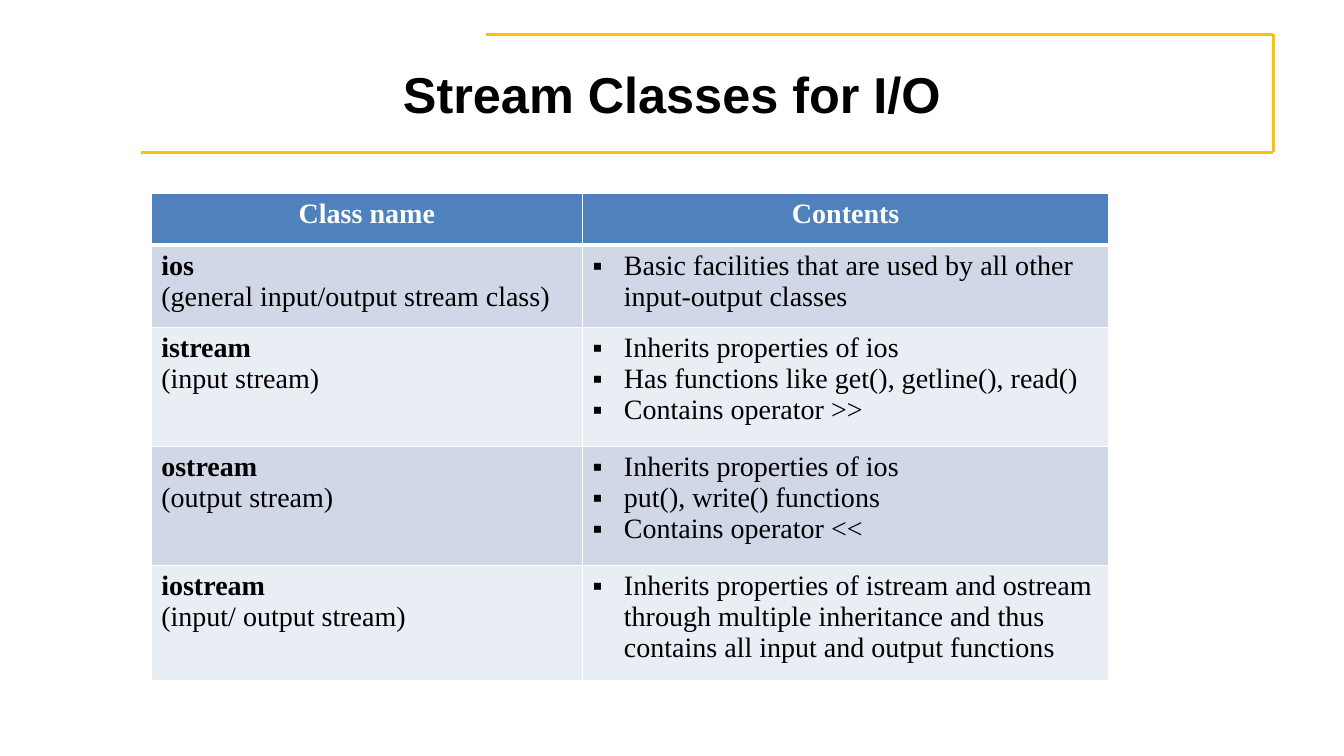
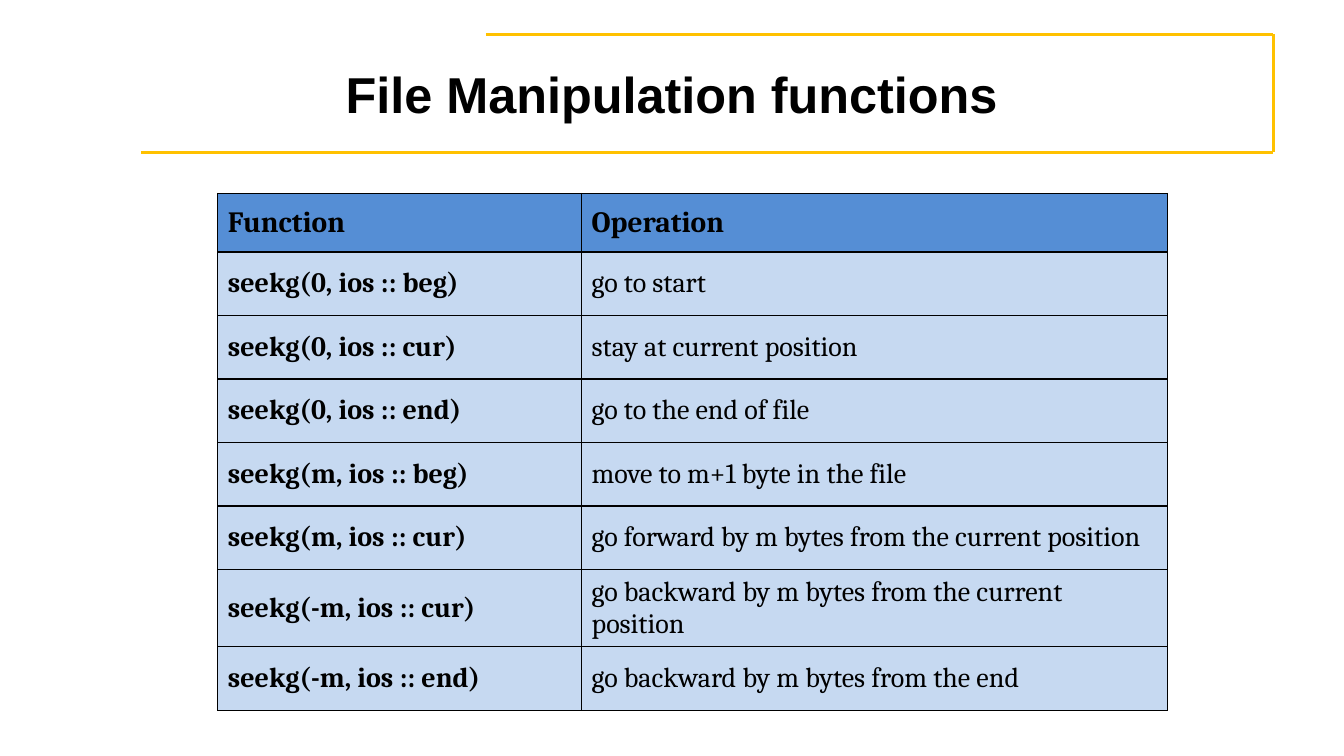
from dataclasses import dataclass

from lxml import etree
from pptx import Presentation
from pptx.dml.color import RGBColor
from pptx.enum.shapes import MSO_CONNECTOR
from pptx.enum.text import MSO_ANCHOR, PP_ALIGN
from pptx.oxml.ns import qn
from pptx.util import Inches, Pt

STRAIGHT = MSO_CONNECTOR.STRAIGHT
TOP, MIDDLE = MSO_ANCHOR.TOP, MSO_ANCHOR.MIDDLE
LEFT, CENTER = PP_ALIGN.LEFT, PP_ALIGN.CENTER

WIDTH, HEIGHT = Inches(13.33), Inches(7.5)
COLUMNS, ROWS = 40, 30
BLANK_LAYOUT = 6
TABLE_TOP = 7.68

COLORS = {
    "black": "000000",
    "white": "FFFFFF",
    "frame": "FFC100",
    "class header": "4F81BD",
    "class dark": "D0D8E8",
    "class light": "E9EDF4",
    "function header": "558ED5",
    "function row": "C6D9F1",
}


@dataclass
class TableStyle:
    """Look of one table: font, colours, borders and alignment."""
    font: str
    header_size: int
    header_color: str
    header_fill: str
    header_align: PP_ALIGN
    header_rule: int
    row_fills: tuple
    border: str
    anchor: MSO_ANCHOR
    bullets: bool


CLASS_STYLE = TableStyle("Times New Roman", 20, "white", "class header", CENTER, 3,
                         ("class dark", "class light"), "white", TOP, True)
FUNCTION_STYLE = TableStyle("Cambria", 21, "black", "function header", LEFT, 1,
                            ("function row",), "black", MIDDLE, False)

CLASS_ROWS = [
    ("Class name", "Contents"),
    ("ios\n(general input/output stream class)",
     "Basic facilities that are used by all other input-output classes"),
    ("istream\n(input stream)",
     "Inherits properties of ios\nHas functions like get(), getline(), read()\n"
     "Contains operator >>"),
    ("ostream\n(output stream)",
     "Inherits properties of ios\nput(), write() functions\nContains operator <<"),
    ("iostream\n(input/ output stream)",
     "Inherits properties of istream and ostream through multiple inheritance "
     "and thus contains all input and output functions"),
]

FUNCTION_ROWS = [
    ("Function", "Operation"),
    ("seekg(0, ios :: beg)", "go to start"),
    ("seekg(0, ios :: cur)", "stay at current position"),
    ("seekg(0, ios :: end)", "go to the end of file"),
    ("seekg(m, ios :: beg)", "move to m+1 byte in the file"),
    ("seekg(m, ios :: cur)", "go forward by m bytes from the current position"),
    ("seekg(-m, ios :: cur)", "go backward by m bytes from the current position"),
    ("seekg(-m, ios :: end)", "go backward by m bytes from the end"),
]


def color(name):
    """Return the named colour."""
    return RGBColor.from_string(COLORS[name])


def across(columns):
    """Turn grid columns into a length."""
    return round(WIDTH * columns / COLUMNS)


def down(rows):
    """Turn grid rows into a length."""
    return round(HEIGHT * rows / ROWS)


class Deck:
    """Holds the presentation, its shared style and the current slide."""

    def __init__(self):
        """Start an empty presentation."""
        self.presentation = Presentation()
        self.presentation.slide_width = WIDTH
        self.presentation.slide_height = HEIGHT
        self.slide = None

    def add_slide(self, title):
        """Start a slide with the shared frame and title."""
        layout = self.presentation.slide_layouts[BLANK_LAYOUT]
        self.slide = self.presentation.slides.add_slide(layout)
        corners = [(14.46, 1.36), (37.89, 1.36), (37.89, 6.04), (4.2, 6.04)]
        for start, end in zip(corners, corners[1:]):
            self.add_line(start, end)
        self.add_title(title)

    def add_line(self, start, end):
        """Draw one frame line between two grid points."""
        line = self.slide.shapes.add_connector(
            STRAIGHT, across(start[0]), down(start[1]), across(end[0]), down(end[1]))
        line.line.color.rgb = color("frame")
        line.line.width = Pt(2)
        etree.SubElement(line._element.spPr, qn("a:effectLst"))

    def add_title(self, text):
        """Write the slide title centred in the frame."""
        box = self.slide.shapes.add_textbox(across(2), down(1.2), across(36), down(5))
        frame = box.text_frame
        frame.word_wrap = True
        frame.vertical_anchor = MIDDLE
        frame.text = text
        paragraph = frame.paragraphs[0]
        paragraph.alignment = CENTER
        self.format_runs(paragraph, "Arial", 36, "black", True)

    def format_runs(self, paragraph, font, size, color_name, bold):
        """Set the font of every run in a paragraph."""
        for run in paragraph.runs:
            run.font.name = font
            run.font.size = Pt(size)
            run.font.color.rgb = color(color_name)
            run.font.bold = bold

    def add_bullet(self, paragraph):
        """Give a paragraph a square bullet with a hanging indent."""
        properties = paragraph._p.get_or_add_pPr()
        indent = Inches(0.31)
        properties.set("marL", str(indent))
        properties.set("indent", str(-indent))
        etree.SubElement(properties, qn("a:buFont"), typeface="Arial")
        etree.SubElement(properties, qn("a:buChar"), char="▪")

    def add_borders(self, cell, border, top, bottom):
        """Draw the four borders of a cell."""
        properties = cell._tc.get_or_add_tcPr()
        for side, width in (("L", 1), ("R", 1), ("T", top), ("B", bottom)):
            line = etree.SubElement(properties, qn(f"a:ln{side}"), w=str(Pt(width)))
            fill = etree.SubElement(line, qn("a:solidFill"))
            etree.SubElement(fill, qn("a:srgbClr"), val=COLORS[border])

    def add_table(self, left, widths, heights, rows, style):
        """Place a table whose first row is the header."""
        shape = self.slide.shapes.add_table(
            len(rows), len(widths), across(left), down(TABLE_TOP),
            across(sum(widths)), down(sum(heights)))
        table = shape.table
        table.first_row = table.horz_banding = False
        for column, width in zip(table.columns, widths):
            column.width = across(width)
        for row, height in zip(table.rows, heights):
            row.height = down(height)
        for row_index, texts in enumerate(rows):
            for column_index, text in enumerate(texts):
                cell = table.cell(row_index, column_index)
                self.fill_cell(cell, text, row_index, column_index, style)

    def fill_cell(self, cell, text, row_index, column_index, style):
        """Write and format one table cell."""
        header = row_index == 0
        self.add_borders(cell, style.border,
                         style.header_rule if row_index == 1 else 1,
                         style.header_rule if header else 1)
        fills = style.row_fills
        fill = style.header_fill if header else fills[(row_index - 1) % len(fills)]
        cell.fill.solid()
        cell.fill.fore_color.rgb = color(fill)
        cell.vertical_anchor = style.anchor
        cell.text_frame.text = text
        for index, paragraph in enumerate(cell.text_frame.paragraphs):
            if style.bullets and column_index == 1 and not header:
                self.add_bullet(paragraph)
            paragraph.alignment = style.header_align if header else LEFT
            self.format_runs(paragraph, style.font,
                             style.header_size if header else 20,
                             style.header_color if header else "black",
                             header or (column_index == 0 and index == 0))


def main():
    """Build and save both slides."""
    deck = Deck()
    deck.add_slide("Stream Classes for I/O")
    deck.add_table(4.5, [12.84, 15.66], [2.04, 3.28, 4.72, 4.72, 4.56],
                   CLASS_ROWS, CLASS_STYLE)
    deck.add_slide("File Manipulation functions")
    deck.add_table(6.48, [10.83, 17.43], [2.32] + [2.52] * (len(FUNCTION_ROWS) - 1),
                   FUNCTION_ROWS, FUNCTION_STYLE)
    deck.presentation.save("out.pptx")


if __name__ == "__main__":
    main()
